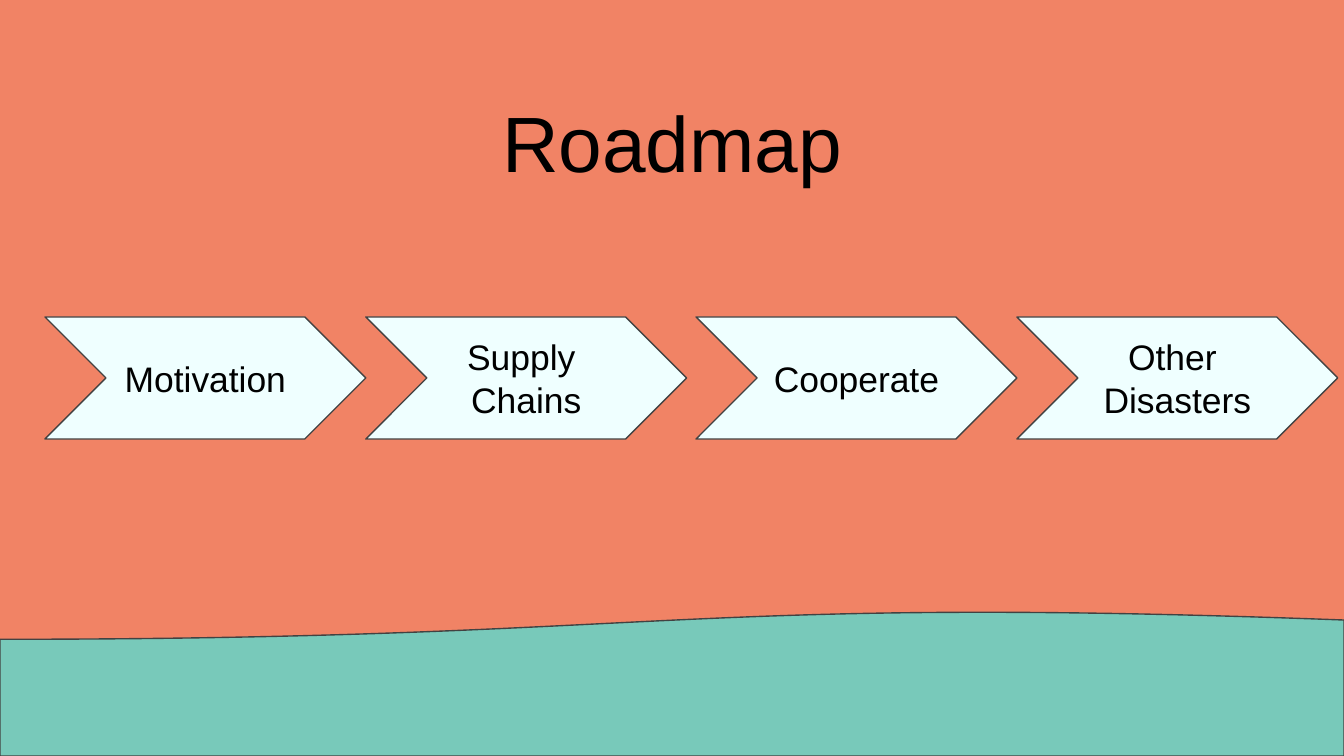
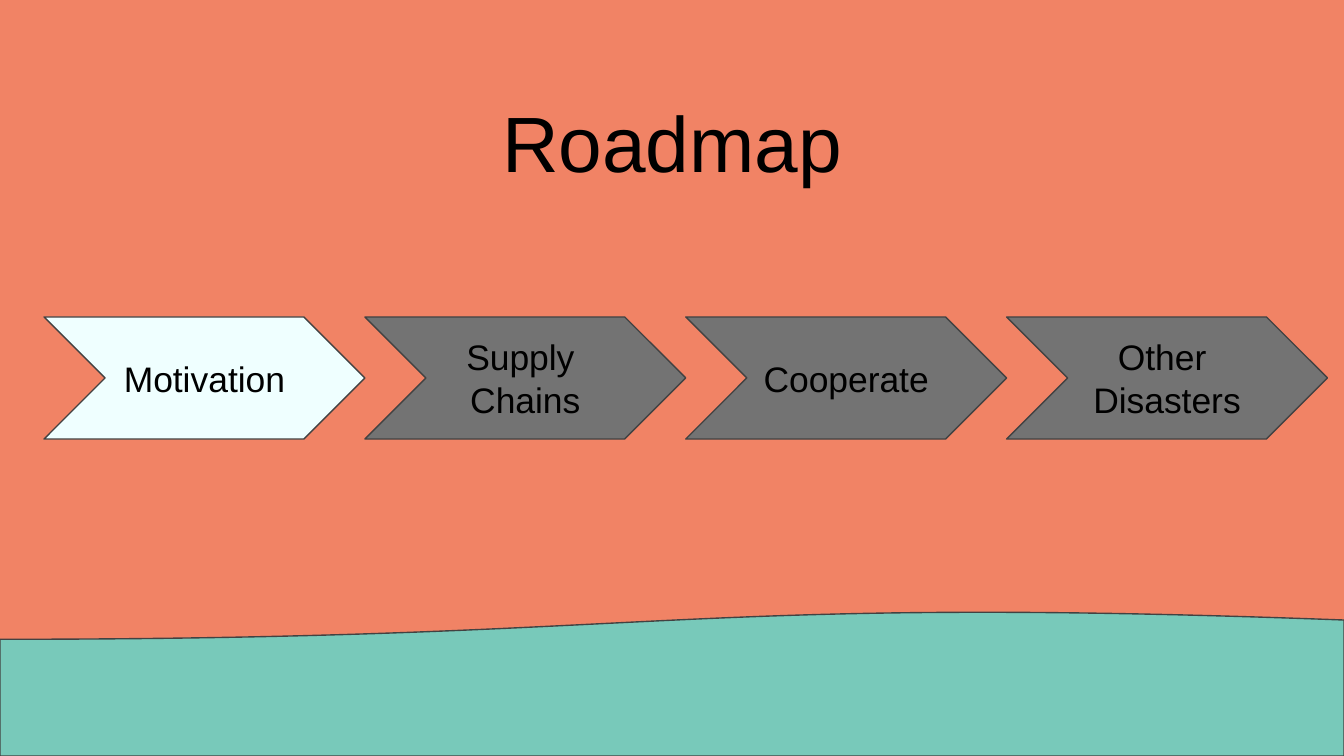
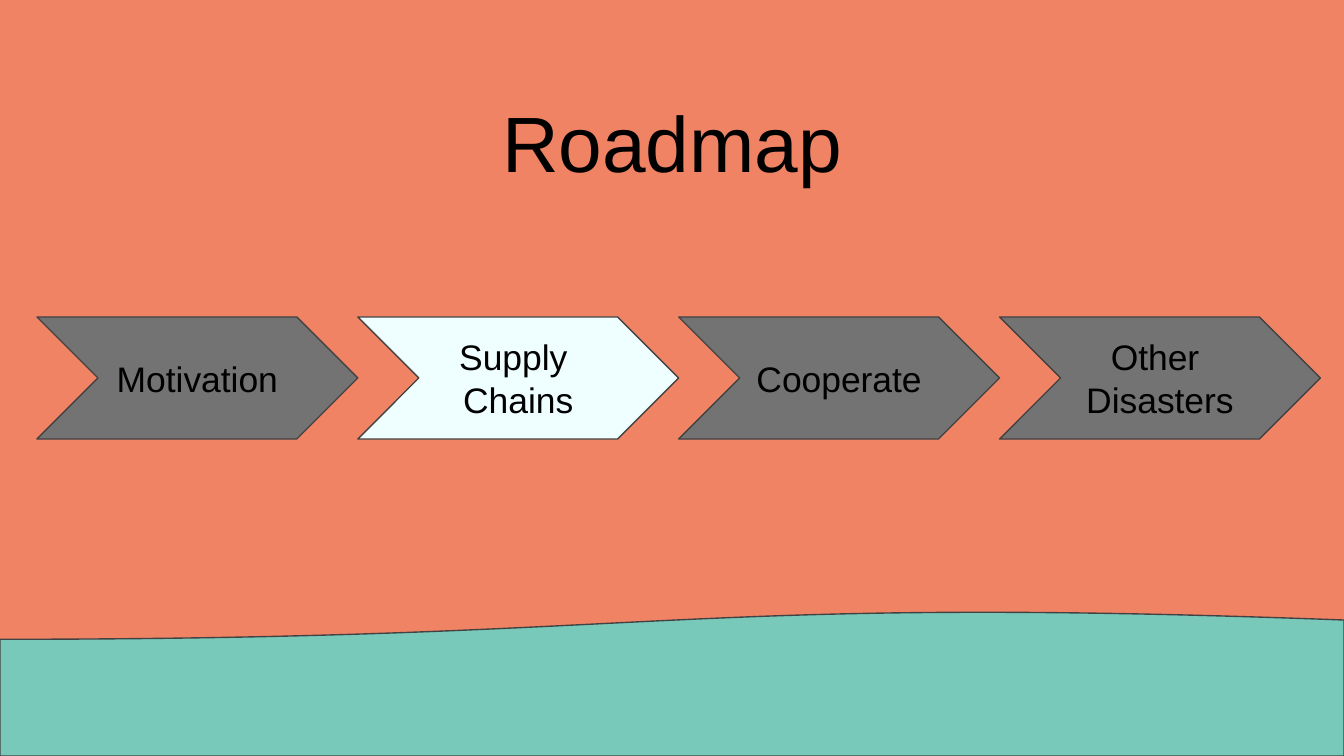
from collections import namedtuple

from pptx import Presentation
from pptx.dml.color import RGBColor
from pptx.enum.shapes import MSO_SHAPE
from pptx.enum.text import MSO_ANCHOR, MSO_AUTO_SIZE, PP_ALIGN
from pptx.util import Pt

CHEVRON = MSO_SHAPE.CHEVRON
WAVE = MSO_SHAPE.FLOWCHART_DOCUMENT
CENTER = PP_ALIGN.CENTER
MIDDLE, TOP = MSO_ANCHOR.MIDDLE, MSO_ANCHOR.TOP
GROW = MSO_AUTO_SIZE.SHAPE_TO_FIT_TEXT

CORAL = RGBColor(0xF1, 0x83, 0x65)
TEAL = RGBColor(0x78, 0xC9, 0xBA)
ICE = RGBColor(0xEF, 0xFF, 0xFF)
GREY = RGBColor(0x73, 0x73, 0x73)
OUTLINE = RGBColor(0x42, 0x42, 0x42)
BLACK = RGBColor(0, 0, 0)

FONT = "Arial"
INSET = 7.2

# Lengths in points
Box = namedtuple("Box", "left top width height")
PAGE = Box(0, 0, 720, 405)
WAVE_BOX = Box(0, 327, 720, 78)
TITLE_BOX = Box(249.8, 43.2, 220.4, 65.5)
STEP_TOP, STEP_WIDTH, STEP_HEIGHT = 169.8, 171.9, 65.4

STEPS = [["Motivation"], ["Supply ", "Chains"], ["Cooperate"], ["Other ", "Disasters"]]

# Left edge of the row, gap in the middle of the row, highlighted steps
ROADMAPS = [
    (24.1, 5, {0, 1, 2, 3}),
    (23.6, 0, {0}),
    (19.8, 0, {1}),
]


def lengths(box):
    return [Pt(value) for value in box]


def write_lines(shape, lines, size, anchor):
    frame = shape.text_frame
    frame.word_wrap = True
    frame.vertical_anchor = anchor
    frame.margin_left = frame.margin_right = Pt(INSET)
    frame.margin_top = frame.margin_bottom = Pt(INSET)
    for index, line in enumerate(lines):
        para = frame.paragraphs[0] if index == 0 else frame.add_paragraph()
        para.alignment = CENTER
        span = para.add_run()
        span.text = line
        span.font.name = FONT
        span.font.size = Pt(size)
        span.font.color.rgb = BLACK


def add_outlined(page, kind, box, fill):
    shape = page.shapes.add_shape(kind, *lengths(box))
    shape.shadow.inherit = False
    shape.fill.solid()
    shape.fill.fore_color.rgb = fill
    shape.line.color.rgb = OUTLINE
    shape.line.width = Pt(0.75)
    return shape


def add_wave(page, box):
    wave = add_outlined(page, WAVE, box, TEAL)
    wave.rotation = 180


def add_title(page, box, title):
    text_box = page.shapes.add_textbox(*lengths(box))
    write_lines(text_box, [title], 42, TOP)
    text_box.text_frame.auto_size = GROW


def add_steps(page, box, middle_gap, highlighted):
    width = (box.width - middle_gap) / len(STEPS)
    for index, lines in enumerate(STEPS):
        gap = middle_gap if index >= len(STEPS) / 2 else 0
        place = Box(box.left + index * width + gap, box.top, width, box.height)
        fill = ICE if index in highlighted else GREY
        chevron = add_outlined(page, CHEVRON, place, fill)
        chevron.adjustments[0] = 0.5
        write_lines(chevron, lines, 19, MIDDLE)


def add_roadmap(deck, left, middle_gap, highlighted):
    page = deck.slides.add_slide(deck.slide_layouts[6])
    page.background.fill.solid()
    page.background.fill.fore_color.rgb = CORAL
    add_wave(page, WAVE_BOX)
    add_title(page, TITLE_BOX, "Roadmap")
    row_width = len(STEPS) * STEP_WIDTH + middle_gap
    row = Box(left, STEP_TOP, row_width, STEP_HEIGHT)
    add_steps(page, row, middle_gap, highlighted)


def main():
    deck = Presentation()
    deck.slide_width = Pt(PAGE.width)
    deck.slide_height = Pt(PAGE.height)
    for left, middle_gap, highlighted in ROADMAPS:
        add_roadmap(deck, left, middle_gap, highlighted)
    deck.save("out.pptx")


if __name__ == "__main__":
    main()
